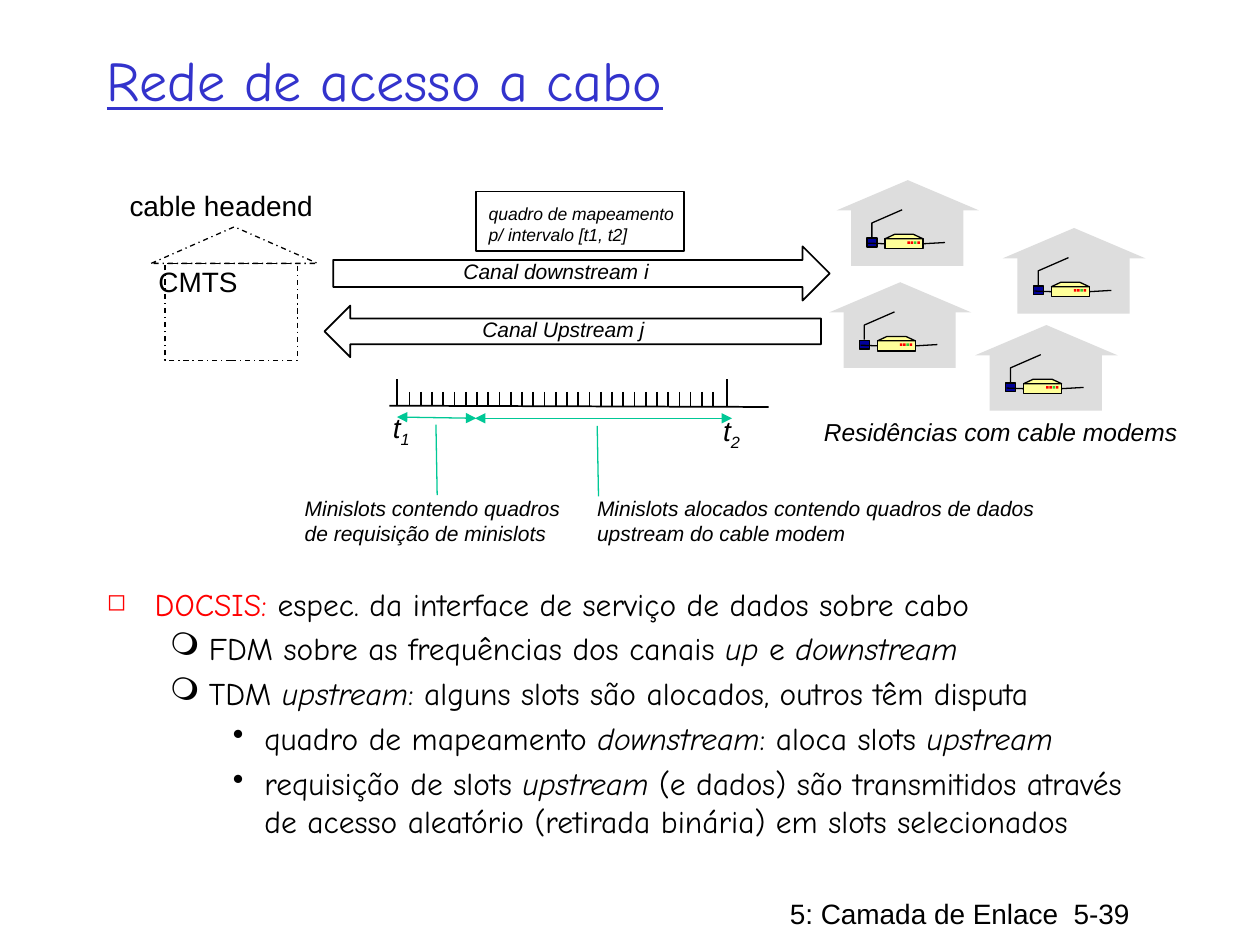
from dataclasses import dataclass, field
from typing import NamedTuple

from lxml import etree
from pptx import Presentation
from pptx.dml.color import RGBColor
from pptx.enum.dml import MSO_LINE
from pptx.enum.shapes import MSO_CONNECTOR, MSO_SHAPE
from pptx.enum.text import MSO_ANCHOR, MSO_AUTO_SIZE, PP_ALIGN
from pptx.oxml.ns import qn
from pptx.util import Inches, Pt

RECT, ROOF, ARROW = MSO_SHAPE.RECTANGLE, MSO_SHAPE.ISOSCELES_TRIANGLE, MSO_SHAPE.DOWN_ARROW
LINE, DASH = MSO_CONNECTOR.STRAIGHT, MSO_LINE.DASH_DOT
FIT, FIXED = MSO_AUTO_SIZE.SHAPE_TO_FIT_TEXT, MSO_AUTO_SIZE.NONE
TOP, MID, MARK = MSO_ANCHOR.TOP, MSO_ANCHOR.MIDDLE, PP_ALIGN.CENTER
COLS, ROWS, CELL = 100, 75, 0.1
HUES = {"ink": "000000", "title": "3333CC", "red": "FF0000", "green": "33CC33",
        "link": "00C896", "house": "DDDDDD", "modem": "FFFF99", "plug": "000099"}
SANS, HAND = "Arial", "Comic Neue"


class Box(NamedTuple):
    x: float
    y: float
    w: float
    h: float


class Run(NamedTuple):
    text: str
    look: dict = {}


class Bullet(NamedTuple):
    char: str
    left: float
    hang: float
    share: int


@dataclass
class Para:
    runs: list[Run]
    bullet: Bullet | None = None
    form: dict = field(default_factory=dict)


@dataclass
class Label:
    box: Box
    paras: list[Para]
    size: float
    face: str = SANS
    look: dict = field(default_factory=dict)
    frame: dict = field(default_factory=dict)


@dataclass
class Form:
    kind: int
    box: Box
    fill: str = ""
    width: float = 0
    dash: int | None = None
    turn: int = 0


class Link(NamedTuple):
    x: float
    y: float
    end_x: float
    end_y: float
    hue: str = "ink"
    width: float = 1
    heads: bool = False


def grid(cells: float) -> int:
    return Inches(cells * CELL)


def tint(name: str) -> RGBColor:
    return RGBColor.from_string(HUES[name])


def paint(shape, fill: str, width: float, dash=None) -> None:
    shape.shadow.inherit = False
    if fill:
        shape.fill.solid()
        shape.fill.fore_color.rgb = tint(fill)
    else:
        shape.fill.background()
    if width:
        shape.line.color.rgb = tint("ink")
        shape.line.width = Pt(width)
        shape.line.dash_style = dash
    else:
        shape.line.fill.background()


def draw_form(slide, form: Form):
    shape = slide.shapes.add_shape(form.kind, *map(grid, form.box))
    shape.rotation = form.turn
    paint(shape, form.fill, form.width, form.dash)
    return shape


def draw_path(slide, spots: list, fill: str, closed: bool) -> None:
    first, *rest = [(grid(x), grid(y)) for x, y in spots]
    path = slide.shapes.build_freeform(*first, scale=1.0)
    path.add_line_segments(rest, close=closed)
    paint(path.convert_to_shape(), fill, 0.75)


def draw_link(slide, link: Link):
    line = slide.shapes.add_connector(LINE, *map(grid, link[:4]))
    line.line.color.rgb = tint(link.hue)
    line.line.width = Pt(link.width)
    if link.heads:
        for tag in ("a:headEnd", "a:tailEnd"):
            etree.SubElement(line.line._get_or_add_ln(), qn(tag), type="triangle")
    etree.SubElement(line._element.spPr, qn("a:effectLst"))
    return line


def add_bullet(para, bullet: Bullet) -> None:
    props = para._p.get_or_add_pPr()
    props.set("marL", str(grid(bullet.left)))
    props.set("indent", str(-grid(bullet.hang)))
    etree.SubElement(props, qn("a:buSzPct"), val=str(bullet.share * 1000))
    etree.SubElement(props, qn("a:buChar"), char=bullet.char)


def write(slide, label: Label) -> None:
    frame = slide.shapes.add_textbox(*map(grid, label.box)).text_frame
    base = {"word_wrap": False, "auto_size": FIT, "vertical_anchor": TOP}
    for key, value in (base | label.frame).items():
        setattr(frame, key, value)
    for at, item in enumerate(label.paras):
        para = frame.add_paragraph() if at else frame.paragraphs[0]
        if item.bullet:
            add_bullet(para, item.bullet)
        for key, value in item.form.items():
            setattr(para, key, value)
        for part in item.runs:
            run = para.add_run()
            run.text = part.text
            look = {"name": label.face, "size": Pt(label.size), "hue": "ink"} | label.look | part.look
            run.font.color.rgb = tint(look.pop("hue"))
            if look.pop("sub", False):
                run.font._element.set("baseline", "-25000")
            for key, value in look.items():
                setattr(run.font, key, value)


def draw_house(slide, x: float, y: float) -> None:
    draw_form(slide, Form(ROOF, Box(x, y, 11.3, 2.4), "house"))
    draw_form(slide, Form(RECT, Box(x + 1.15, y + 2.1, 8.9, 4.7), "house"))
    modem = draw_form(slide, Form(RECT, Box(x + 3.85, y + 4.65, 3, 0.8), "modem", 0.75))
    cable = draw_link(slide, Link(x + 8.6, y + 4.95, x + 6.85, y + 4.95, width=0.75))
    cable.end_connect(modem, 3)
    for step, hue in enumerate(("red", "green", "red", "red")):
        draw_form(slide, Form(RECT, Box(x + 6.4 - step * 0.26, y + 4.85, 0.2, 0.2), hue))
    lid = [(6.85, 4.65), (6.1, 4.3), (4.6, 4.3), (3.85, 4.65)]
    draw_path(slide, [(x + a, y + b) for a, b in lid], "modem", True)
    draw_form(slide, Form(RECT, Box(x + 2.4, y + 4.6, 0.8, 0.7), "plug", 0.75))
    draw_path(slide, [(x + a, y + b) for a, b in [(2.8, 4.55), (2.8, 3.4), (5.2, 2.35)]], "", False)
    cord = draw_link(slide, Link(x + 2.5, y + 5, x + 3.85, y + 5, width=0.75))
    cord.end_connect(modem, 1)


def plain(*lines: str, **form) -> list[Para]:
    return [Para([Run(line)], form=form) for line in lines]


ITAL, WRAP = {"italic": True}, {"word_wrap": True}
BLOCK = {"word_wrap": True, "auto_size": FIXED}
GAP = {"space_before": Pt(4)}
SQUARE = Bullet("◻", 3.8, 3.8, 75)
RING = Bullet("❍", 8.1, 3.1, 100)
DOT = Bullet("•", 12.5, 2.5, 100)
UP, DOWN = Run("upstream", ITAL), Run("downstream", ITAL)
BODY = [
    Para([Run("DOCSIS:", {"hue": "red"}),
          Run(" espec. da interface de serviço de dados sobre cabo")], SQUARE),
    Para([Run("FDM sobre as frequências dos canais "), Run("up", ITAL), Run(" e "), DOWN], RING, GAP),
    Para([Run("TDM "), UP, Run(": alguns slots são alocados, outros têm disputa")], RING, GAP),
    Para([Run("quadro de mapeamento "), DOWN, Run(": aloca slots "), UP], DOT, GAP),
    Para([Run("requisição de slots "), UP,
          Run(" (e dados) são transmitidos através de acesso aleatório "
              "(retirada binária) em slots selecionados")], DOT, GAP),
]
LABELS = [
    Label(Box(61.7, 70.7, 38.3, 3.7), plain("5: Camada de Enlace  5-39"), 16, frame=WRAP),
    Label(Box(7.5, 1.7, 85, 9.2), plain("Rede de acesso a cabo"), 32, HAND,
          {"hue": "title", "underline": True}, BLOCK | {"vertical_anchor": MID}),
    Label(Box(7.5, 45.9, 85, 27.1), BODY, 18, HAND, frame=BLOCK),
    Label(Box(37.8, 15.6, 21.9, 4.4),
          plain("quadro de mapeamento", "p/ intervalo [t1, t2]", line_spacing=Pt(12)), 10, look=ITAL, frame=WRAP),
    Label(Box(64.4, 32.6, 30.2, 3.4), plain("Residências com cable modems"), 14, look=ITAL),
    Label(Box(35.8, 20, 16.8, 3), plain("Canal downstream i"), 12, look=ITAL),
    Label(Box(37.3, 24.6, 15, 3), plain("Canal Upstream j"), 12, look=ITAL),
    Label(Box(46.4, 38.8, 37, 5),
          plain("Minislots alocados contendo quadros de dados", "upstream do cable modem"), 12, look=ITAL),
    Label(Box(23.2, 38.8, 22.4, 5),
          plain("Minislots contendo quadros", "de requisição de minislots"), 12, look=ITAL),
    Label(Box(7, 15, 21.1, 3.1), plain("cable headend", alignment=MARK, line_spacing=0.8), 16, frame=WRAP),
    Label(Box(11.6, 20.5, 10.4, 3.7), plain("CMTS"), 16, frame=WRAP),
] + [Label(Box(x, y, 3.9, 3.7), [Para([Run("t"), Run(mark, {"sub": True})])], 16, look=ITAL)
     for x, y, mark in ((30.2, 32.1, "1"), (56.4, 32.3, "2"))]
FORMS = [
    Form(RECT, Box(37.8, 15.2, 16.5, 4.7), width=1),
    Form(ARROW, Box(44, 2, 4.3, 39.4), width=1, turn=270),
    Form(ARROW, Box(43.4, 6.6, 4.1, 39.4), width=1, turn=90),
    Form(RECT, Box(13.1, 20.9, 10.5, 7.7), width=0.75, dash=DASH),
    Form(ROOF, Box(12, 18, 13.2, 2.9), width=0.75, dash=DASH),
]
SLOTS, FIRST, LAST = 28, 32.5, 56.6
TICKS = [FIRST + at * (LAST - FIRST) / (SLOTS - 1) for at in range(SLOTS)]
LINKS = [Link(30.9, 32.2, 61, 32.3)]
LINKS += [Link(x, 30.1, x, 32.2) for x in (31.5, 57.7)]
LINKS += [Link(x, 31.1, x, 32.2) for x in TICKS]
LINKS += [Link(31.5, 33.1, 37.8, 33.2, "link", 0.75, True),
          Link(37.7, 33.2, 58.1, 33.2, "link", 0.75, True),
          Link(34.6, 33.7, 34.7, 39.3, "link", 0.75),
          Link(47.4, 33.8, 47.5, 39.4, "link", 0.75)]
HOMES = [(66.4, 14.3), (79.6, 18.1), (77.4, 25.8), (65.8, 22.4)]


def main() -> None:
    deck = Presentation()
    deck.slide_width, deck.slide_height = grid(COLS), grid(ROWS)
    slide = deck.slides.add_slide(deck.slide_layouts[6])
    for form in FORMS:
        draw_form(slide, form)
    for link in LINKS:
        draw_link(slide, link)
    for label in LABELS:
        write(slide, label)
    for x, y in HOMES:
        draw_house(slide, x, y)
    deck.save("out.pptx")


if __name__ == "__main__":
    main()
